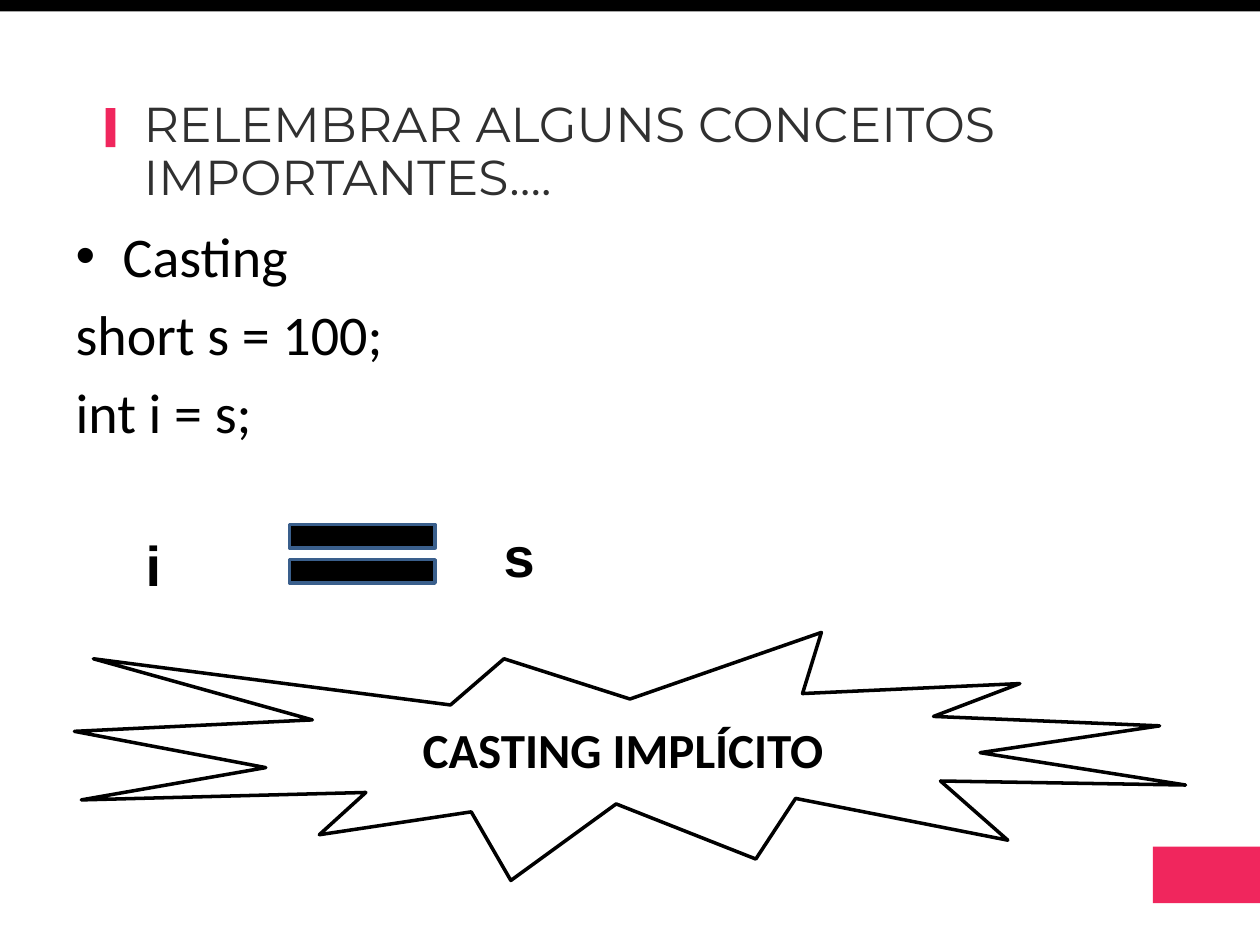
from lxml.etree import SubElement
from pptx import Presentation
from pptx.dml.color import RGBColor
from pptx.enum.shapes import MSO_SHAPE
from pptx.enum.text import MSO_ANCHOR, MSO_AUTO_SIZE, PP_ALIGN
from pptx.oxml.ns import qn
from pptx.util import Cm, Pt

PINK, BLACK, WHITE = "F0265D", "000000", "FFFFFF"
TITLE_GREY, EQUAL_BORDER = "303030", "3A5F8C"


def color(value):
    """Turn a hex string into a colour."""
    return RGBColor.from_string(value)


def place(shape, box):
    """Move a shape to a box given in centimetres."""
    shape.left, shape.top, shape.width, shape.height = map(Cm, box)


def style(paragraph, size, name, value, bold=False):
    """Set the font of a whole paragraph."""
    font = paragraph.font
    font.size, font.name, font.bold = Pt(size), name, bold
    font.color.rgb = color(value)


def add_filled_shape(slide, kind, box, fill, line=None):
    """Add a flat preset shape with an optional outline."""
    shape = slide.shapes.add_shape(kind, *map(Cm, box))
    shape.shadow.inherit = False
    shape.fill.solid()
    shape.fill.fore_color.rgb = color(fill)
    if line:
        shape.line.color.rgb = color(line)
        shape.line.width = Pt(2)
    else:
        shape.line.fill.background()
    return shape


def add_decoration(slide, box):
    """Add the top band and the page tab at the edges of the box."""
    left, top, width, height = box
    tab_width = 2.16
    add_filled_shape(slide, MSO_SHAPE.RECTANGLE, (left, top, width, 0.23), BLACK)
    add_filled_shape(
        slide, MSO_SHAPE.RECTANGLE,
        (left + width - tab_width, top + height - 1.98, tab_width, 1.14), PINK)


def add_title(slide, box, text):
    """Fill the title and put the accent mark to its left."""
    left, top = box[:2]
    add_filled_shape(
        slide, MSO_SHAPE.RECTANGLE, (left - 0.51, top + 0.28, 0.2, 0.79), PINK)
    title = slide.shapes.title
    place(title, box)
    frame = title.text_frame
    frame.text = text
    frame.word_wrap = True
    frame.auto_size = MSO_AUTO_SIZE.NONE
    frame.vertical_anchor = MSO_ANCHOR.TOP
    paragraph = frame.paragraphs[0]
    paragraph.alignment = PP_ALIGN.LEFT
    paragraph.line_spacing = 0.9
    style(paragraph, 28, "Montserrat", TITLE_GREY)


def add_body(slide, box, heading, code_lines):
    """Fill the body with a bulleted heading and plain code lines."""
    body = slide.placeholders[1]
    place(body, box)
    frame = body.text_frame
    frame.text = "\n".join([heading, *code_lines])
    frame.auto_size = MSO_AUTO_SIZE.NONE
    for index, paragraph in enumerate(frame.paragraphs):
        properties = paragraph._p.get_or_add_pPr()
        properties.set("marL", str(Cm(0.95)))
        properties.set("indent", str(Cm(-0.95)))
        if index == 0:
            SubElement(properties, qn("a:buFont")).set("typeface", "Arial")
            SubElement(properties, qn("a:buChar")).set("char", "•")
        else:
            SubElement(properties, qn("a:buNone"))
        paragraph.space_before = Pt(6 if index else 0)
        style(paragraph, 32, "Calibri", BLACK)


def add_operand(slide, box, text):
    """Add a variable name centred in its box."""
    frame = slide.shapes.add_textbox(*map(Cm, box)).text_frame
    frame.word_wrap = True
    frame.text = text
    paragraph = frame.paragraphs[0]
    paragraph.alignment = PP_ALIGN.CENTER
    style(paragraph, 32, "Arial", BLACK, bold=True)


def add_assignment(slide, box, target, source):
    """Show target = source across the box."""
    left, top, width, _ = box
    operand_width, operand_height = 2.79, 1.63
    add_operand(slide, (left, top + 0.41, operand_width, operand_height), target)
    add_filled_shape(
        slide, MSO_SHAPE.MATH_EQUAL, (left + 3.61, top, 3.99, 2.01),
        BLACK, EQUAL_BORDER)
    add_operand(
        slide,
        (left + width - operand_width, top + 0.23, operand_width, operand_height),
        source)


def add_burst(slide, box, text):
    """Add the explosion with its centred message."""
    burst = add_filled_shape(slide, MSO_SHAPE.EXPLOSION1, box, WHITE, BLACK)
    frame = burst.text_frame
    frame.text = text
    frame.vertical_anchor = MSO_ANCHOR.MIDDLE
    paragraph = frame.paragraphs[0]
    paragraph.alignment = PP_ALIGN.CENTER
    style(paragraph, 28, "Calibri", BLACK, bold=True)


def main():
    """Build and save the casting slide."""
    presentation = Presentation()
    presentation.slide_width, presentation.slide_height = Cm(25.4), Cm(19.05)
    slide = presentation.slides.add_slide(presentation.slide_layouts[1])
    add_decoration(slide, (0, 0, 25.4, 19.05))
    add_title(slide, (2.64, 1.9, 20.45, 2.41),
              "RELEMBRAR ALGUNS CONCEITOS IMPORTANTES….")
    add_body(slide, (1.27, 4.34, 22.86, 13.79),
             "Casting", ["short s = 100;", "int i = s;"])
    add_assignment(slide, (1.7, 10.16, 10.16, 2.04), "i", "s")
    add_burst(slide, (1.5, 12.75, 22.4, 5), "CASTING IMPLÍCITO")
    presentation.save("out.pptx")


if __name__ == "__main__":
    main()
